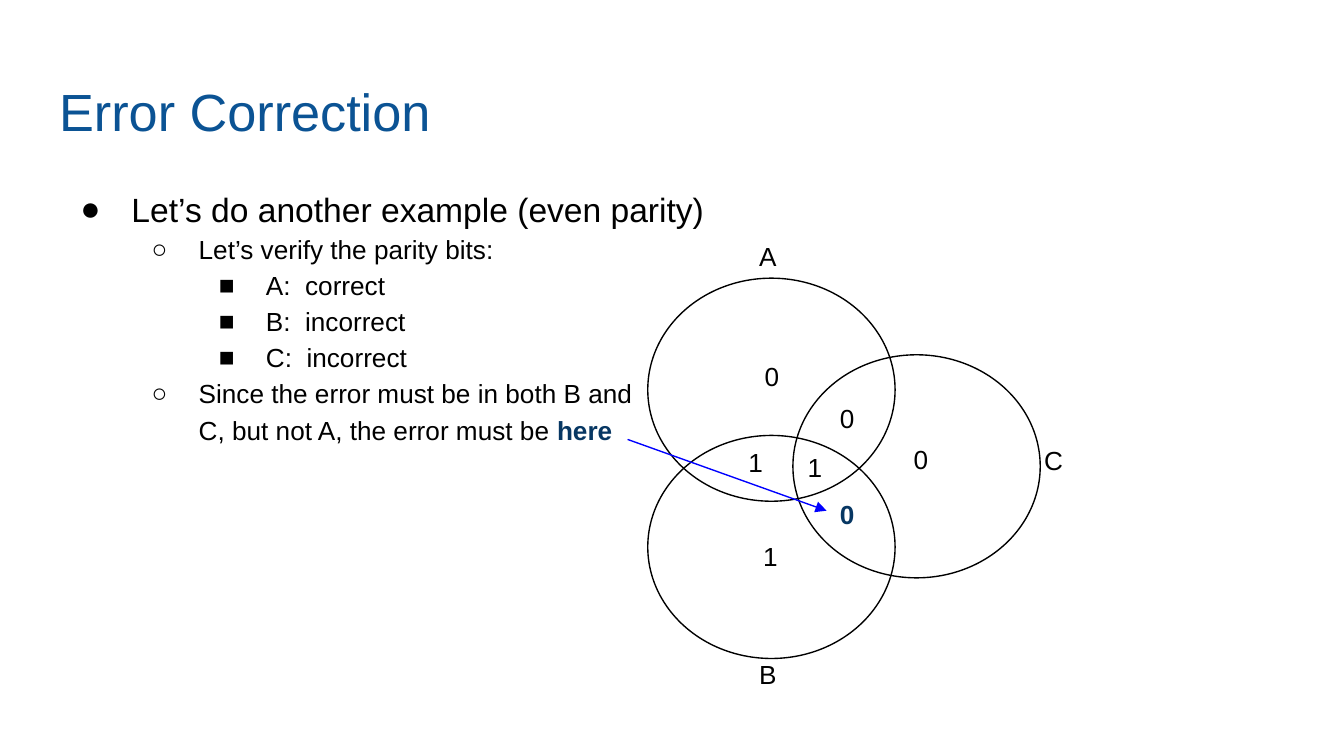
from lxml import etree
from pptx import Presentation
from pptx.dml.color import RGBColor
from pptx.enum.shapes import MSO_CONNECTOR, MSO_SHAPE
from pptx.enum.text import MSO_ANCHOR, MSO_AUTO_SIZE, PP_ALIGN
from pptx.oxml.ns import qn
from pptx.util import Inches, Pt

OVAL = MSO_SHAPE.OVAL
STRAIGHT = MSO_CONNECTOR.STRAIGHT
TOP = MSO_ANCHOR.TOP
NO_AUTOFIT = MSO_AUTO_SIZE.NONE
LEFT = PP_ALIGN.LEFT

SLIDE_WIDTH = 10
SLIDE_HEIGHT = SLIDE_WIDTH * 9 / 16
FONT = "Arial"
BLACK, TITLE_BLUE, ERROR_BLUE, ARROW_BLUE = "000000", "0B5394", "073763", "0000FF"

TITLE = "Error Correction"
BULLETS = [
    (0, ["Let’s do another example (even parity)"]),
    (1, ["Let’s verify the parity bits:"]),
    (2, ["A:  correct"]),
    (2, ["B:  incorrect"]),
    (2, ["C:  incorrect"]),
    (1, ["Since the error must be in both B and",
         "C, but not A, the error must be "]),
]
ERROR_WORD = "here"
LEVELS = [("●", 18, 0.38), ("○", 14, 0.35), ("■", 14, 0.35)]

CIRCLE_SIZE = (1.84, 1.66)
CIRCLES = [(4.82, 2.07), (4.82, 3.24), (5.9, 2.64)]
LABEL_SIZE = (0.31, 0.38)
LABELS = [
    ("1", 5.47, 3.22), ("1", 5.91, 3.26), ("0", 6.15, 2.89),
    ("A", 5.55, 1.69), ("B", 5.55, 4.8), ("C", 7.67, 3.21),
    ("0", 5.59, 2.58), ("1", 5.58, 3.92), ("0", 6.7, 3.2),
]
ERROR_LABEL = ("0", 6.15, 3.61)
ARROW = (4.67, 3.27, 6.15, 3.8)


def color(value):
    return RGBColor.from_string(value)


def add_text(paragraph, text, size=14, fill=BLACK, bold=False):
    run = paragraph.add_run()
    run.text = text
    run.font.name = FONT
    run.font.size = Pt(size)
    run.font.bold = bold
    run.font.color.rgb = color(fill)


def prepare_frame(shape):
    frame = shape.text_frame
    frame.word_wrap = True
    frame.auto_size = NO_AUTOFIT
    frame.vertical_anchor = TOP
    frame.margin_left = frame.margin_right = Inches(0.1)
    frame.margin_top = frame.margin_bottom = Inches(0.1)
    frame.paragraphs[0].alignment = LEFT
    return frame


def add_frame(slide, left, top, width, height):
    box = slide.shapes.add_textbox(*map(Inches, (left, top, width, height)))
    return prepare_frame(box)


def set_bullet(paragraph, level):
    character, size, hanging = LEVELS[level]
    paragraph.level = level
    paragraph.line_spacing = 1.15
    properties = paragraph._p.get_or_add_pPr()
    properties.set("marL", str(Inches(0.5 * (level + 1))))
    properties.set("indent", str(-Inches(hanging)))
    bullet_color = etree.SubElement(properties, qn("a:buClr"))
    etree.SubElement(bullet_color, qn("a:srgbClr"), val=BLACK)
    etree.SubElement(properties, qn("a:buSzPts"), val=str(size * 100))
    etree.SubElement(properties, qn("a:buFont"), typeface=FONT)
    etree.SubElement(properties, qn("a:buChar"), char=character)
    return size


def add_title(slide):
    title = slide.shapes.title
    title.left, title.top, title.width, title.height = map(Inches, (0.34, 0.49, 9.32, 0.63))
    add_text(prepare_frame(title).paragraphs[0], TITLE, size=28, fill=TITLE_BLUE)


def add_bullets(slide):
    frame = add_frame(slide, 0.38, 1.26, 9.28, 3.7)
    for index, (level, lines) in enumerate(BULLETS):
        paragraph = frame.add_paragraph() if index else frame.paragraphs[0]
        size = set_bullet(paragraph, level)
        for number, line in enumerate(lines):
            if number:
                paragraph.add_line_break()
            add_text(paragraph, line, size=size)
    add_text(paragraph, ERROR_WORD, fill=ERROR_BLUE, bold=True)


def add_circle(slide, left, top):
    circle = slide.shapes.add_shape(OVAL, *map(Inches, (left, top, *CIRCLE_SIZE)))
    circle.shadow.inherit = False
    circle.fill.background()
    circle.line.color.rgb = color(BLACK)
    circle.line.width = Pt(0.75)


def add_label(slide, text, left, top, **text_format):
    frame = add_frame(slide, left, top, *LABEL_SIZE)
    add_text(frame.paragraphs[0], text, **text_format)


def add_arrow(slide):
    arrow = slide.shapes.add_connector(STRAIGHT, *map(Inches, ARROW))
    arrow.line.color.rgb = color(ARROW_BLUE)
    arrow.line.width = Pt(0.75)
    etree.SubElement(arrow.line._get_or_add_ln(), qn("a:tailEnd"),
                     type="triangle", w="med", len="med")
    etree.SubElement(arrow._element.spPr, qn("a:effectLst"))


def main():
    presentation = Presentation()
    presentation.slide_width = Inches(SLIDE_WIDTH)
    presentation.slide_height = Inches(SLIDE_HEIGHT)
    slide = presentation.slides.add_slide(presentation.slide_layouts.get_by_name("Title Only"))
    add_title(slide)
    add_bullets(slide)
    for left, top in CIRCLES:
        add_circle(slide, left, top)
    for label in LABELS:
        add_label(slide, *label)
    add_label(slide, *ERROR_LABEL, fill=ERROR_BLUE, bold=True)
    add_arrow(slide)
    presentation.save("out.pptx")


if __name__ == "__main__":
    main()
